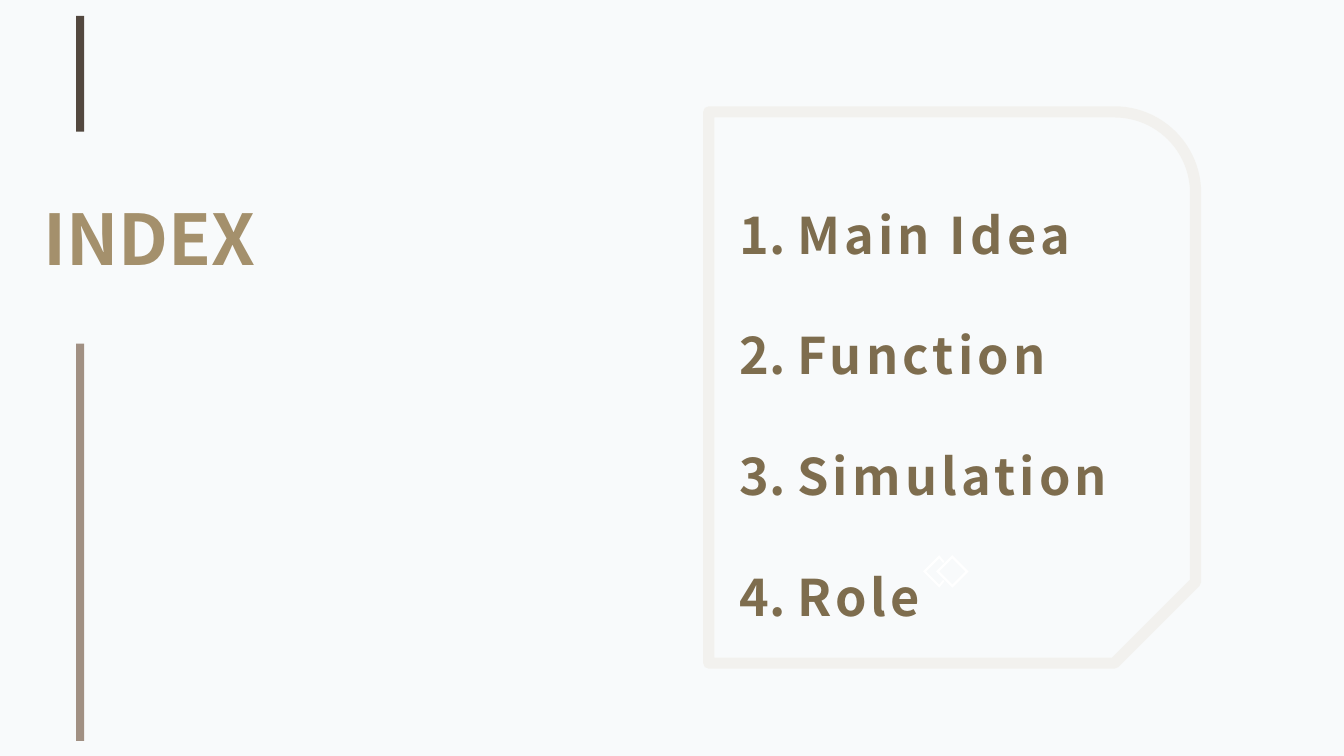
import pptx
import pptx.dml.color
import pptx.enum.shapes
import pptx.enum.text
import pptx.oxml
import pptx.oxml.ns
import pptx.util

Cm = pptx.util.Cm
Pt = pptx.util.Pt
RGBColor = pptx.dml.color.RGBColor
MSO_SHAPE = pptx.enum.shapes.MSO_SHAPE
qn = pptx.oxml.ns.qn

BACKGROUND = RGBColor(0xF8, 0xFA, 0xFB)
HEADING = RGBColor(0xA4, 0x90, 0x6C)
ITEM = RGBColor(0x7E, 0x6D, 0x4E)
DARK_BAR = RGBColor(0x53, 0x48, 0x3F)
LIGHT_BAR = RGBColor(0xA1, 0x90, 0x83)
FRAME = RGBColor(0xED, 0xE9, 0xE2)
WHITE = RGBColor(0xFF, 0xFF, 0xFF)

FONT = "Noto Sans CJK KR"
TOPICS = ["Main Idea", "Function", "Simulation", "Role"]

# Icon outlines in cm around their centres; each has one or more contours
CHEVRON = [[(0, 0.33), (-0.33, 0), (0, -0.33), (0.1, -0.21), (0.13, -0.25),
            (0, -0.41), (-0.41, 0), (0, 0.41), (0.13, 0.25), (0.1, 0.21)]]
DIAMOND = [[(0, -0.41), (-0.41, 0), (0, 0.41), (0.41, 0)],
           [(-0.33, 0), (0, -0.33), (0.33, 0), (0, 0.33)]]


def add_child(parent, tag, **attributes):
    child = pptx.oxml.parse_xml(f"<{tag} {pptx.oxml.ns.nsdecls('a')}/>")
    for name, value in attributes.items():
        child.set(name, str(value))
    parent.append(child)
    return child


def write_text(holder, lines, size, color, line_spacing=1.0, tracking=0, hanging=None):
    """Fill a placeholder with bold lines, numbered when a hanging indent is given."""
    frame = holder.text_frame
    frame.word_wrap = True
    frame.auto_size = pptx.enum.text.MSO_AUTO_SIZE.NONE
    frame.vertical_anchor = pptx.enum.text.MSO_ANCHOR.TOP
    frame.text = "\n".join(lines)
    for paragraph in frame.paragraphs:
        paragraph.alignment = pptx.enum.text.PP_ALIGN.LEFT
        paragraph.line_spacing = line_spacing
        paragraph.space_before = Pt(0)
        if hanging:
            properties = paragraph._p.get_or_add_pPr()
            properties.set("marL", str(hanging))
            properties.set("indent", str(-hanging))
            add_child(properties, "a:buFont", typeface="+mj-lt")
            add_child(properties, "a:buAutoNum", type="arabicPeriod")
        for run in paragraph.runs:
            run.font.name = FONT
            run.font.size = Pt(size)
            run.font.bold = True
            run.font.color.rgb = color
            run_properties = run._r.get_or_add_rPr()
            run_properties.set("spc", str(tracking * 100))
            add_child(run_properties, "a:ea", typeface=FONT)


def place(holder, left, top, width, height):
    holder.left, holder.top = Cm(left), Cm(top)
    holder.width, holder.height = Cm(width), Cm(height)


def paint(shape, color):
    shape.shadow.inherit = False
    shape.fill.solid()
    shape.fill.fore_color.rgb = color
    shape.line.fill.background()


def add_icon(slide, contours, x, y):
    points = [[(Cm(x + dx), Cm(y + dy)) for dx, dy in contour] for contour in contours]
    builder = slide.shapes.build_freeform(*points[0][0])
    for index, contour in enumerate(points):
        if index:
            builder.move_to(*contour[0])
        builder.add_line_segments(contour[1:], close=True)
    paint(builder.convert_to_shape(), WHITE)


def build_heading(slide, left, top, width, height):
    """Heading between a short bar above and a long bar below."""
    place(slide.shapes.title, left, top + 4.4, width, 2.39)
    write_text(slide.shapes.title, ["INDEX"], 50, HEADING)
    long_top = 8.26
    for bar_top, bar_height, color in [(0, 2.92, DARK_BAR),
                                       (long_top, height - long_top, LIGHT_BAR)]:
        bar = slide.shapes.add_shape(MSO_SHAPE.RECTANGLE, Cm(left + 1.08),
                                     Cm(top + bar_top), Cm(0.2), Cm(bar_height))
        paint(bar, color)


def build_topics(slide, left, top, width, height):
    """Numbered topics in a frame with one round and one cut corner."""
    # Decorative icons
    add_icon(slide, CHEVRON, left + 5.81, top + 11.58)
    add_icon(slide, DIAMOND, left + 6.14, top + 11.58)

    # Frame, turned a quarter about its centre
    shift = (width - height) / 2
    frame = slide.shapes.add_shape(MSO_SHAPE.SNIP_ROUND_RECTANGLE, Cm(left + shift),
                                   Cm(top - shift), Cm(height), Cm(width))
    frame.rotation = 90
    frame.shadow.inherit = False
    frame.fill.background()
    frame.line.color.rgb = FRAME
    frame.line.width = Pt(8)
    line_color = frame.line._ln.find(".//" + qn("a:srgbClr"))
    add_child(line_color, "a:alpha", val=50000)

    # Numbered list, in front of the frame
    topics = slide.placeholders[1]
    place(topics, left + 0.53, top + 0.66, width - 0.2, height - 1.77)
    write_text(topics, TOPICS, 36, ITEM, line_spacing=2.0, tracking=3, hanging=Cm(1.45))
    slide.shapes._spTree.append(topics._element)


def main():
    deck = pptx.Presentation()
    deck.slide_width, deck.slide_height = Cm(33.87), Cm(19.05)
    slide = deck.slides.add_slide(deck.slide_layouts[1])
    slide.background.fill.solid()
    slide.background.fill.fore_color.rgb = BACKGROUND
    build_heading(slide, 0.84, 0.4, 6.65, 18.27)
    build_topics(slide, 17.86, 2.82, 12.27, 13.89)
    deck.save("out.pptx")


if __name__ == "__main__":
    main()
